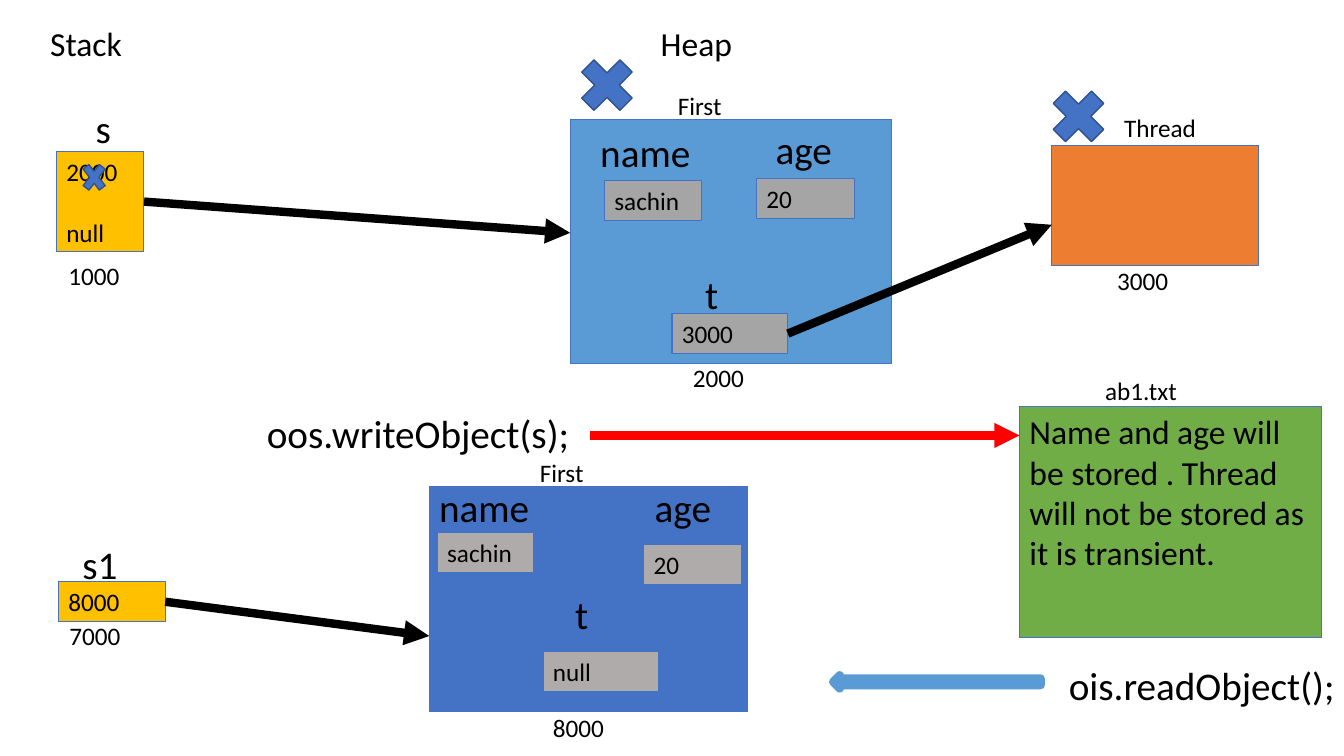
"""Draw the stack and heap during serialization of an object with a transient field."""
from typing import NamedTuple, Optional

from lxml.etree import SubElement
from pptx import Presentation
from pptx.dml.color import RGBColor
from pptx.enum.shapes import MSO_CONNECTOR, MSO_SHAPE
from pptx.enum.text import MSO_ANCHOR, PP_ALIGN
from pptx.oxml.ns import qn
from pptx.util import Emu, Pt

PX = 9144
BLUE, SKY, GOLD, ORANGE, GREEN = "4472C4", "5B9BD5", "FFC000", "ED7D31", "70AD47"
FIELD_GRAY, RESTORED_GRAY = "A5A5A5", "AFABAB"
BLACK, RED, CROSS_EDGE = "000000", "FF0000", "2F528F"
SMALL, MEDIUM, LARGE = 18, 24, 28


class Box(NamedTuple):
    x: int
    y: int
    width: int
    height: int
    fill: str
    text: str = ""
    size: int = SMALL


class Caption(NamedTuple):
    x: int
    y: int
    width: int
    text: str
    size: int = SMALL


class Cross(NamedTuple):
    x: int
    y: int
    width: int
    height: int


class Reference(NamedTuple):
    x1: int
    y1: int
    x2: int
    y2: int
    color: str = BLACK
    owner: Optional[str] = None


BOXES = {
    "first": Box(566, 119, 319, 242, SKY),
    "thread": Box(1044, 144, 205, 119, ORANGE),
    "name": Box(600, 179, 96, 40, FIELD_GRAY, "sachin"),
    "age": Box(751, 177, 97, 40, FIELD_GRAY, "20"),
    "t": Box(667, 311, 115, 40, FIELD_GRAY, "3000"),
    "s": Box(56, 150, 87, 100, GOLD, "2000\nnull"),
    "file": Box(1012, 403, 300, 230, GREEN,
                "Name and age will be stored . Thread will not be stored as it is transient.", MEDIUM),
    "restored first": Box(426, 483, 316, 223, BLUE),
    "restored name": Box(434, 528, 96, 40, RESTORED_GRAY, "sachin"),
    "restored age": Box(639, 540, 97, 40, RESTORED_GRAY, "20"),
    "restored t": Box(539, 646, 115, 40, RESTORED_GRAY, "null"),
    "s1": Box(58, 577, 106, 40, GOLD, "8000"),
}
CAPTIONS = [
    Caption(646, 18, 159, "Heap", MEDIUM),
    Caption(40, 18, 124, "Stack", MEDIUM),
    Caption(663, 85, 126, "First"),
    Caption(1106, 107, 118, "Thread"),
    Caption(586, 122, 130, "name", LARGE),
    Caption(760, 119, 108, "age", LARGE),
    Caption(690, 263, 47, "t", LARGE),
    Caption(1099, 258, 118, "3000"),
    Caption(678, 355, 118, "2000"),
    Caption(85, 99, 58, "s", LARGE),
    Caption(58, 253, 87, "1000"),
    Caption(1087, 367, 129, "ab1.txt"),
    Caption(255, 401, 423, "oos.writeObject(s);", LARGE),
    Caption(1051, 651, 298, "ois.readObject();", LARGE),
    Caption(426, 475, 133, "name", LARGE),
    Caption(640, 475, 103, "age", LARGE),
    Caption(561, 581, 46, "t", LARGE),
    Caption(539, 702, 118, "8000"),
    Caption(72, 531, 59, "s1", LARGE),
    Caption(59, 611, 106, "7000"),
    Caption(526, 449, 126, "First"),
]
CROSSES = [Cross(78, 156, 31, 40), Cross(566, 48, 73, 73), Cross(1034, 79, 73, 73)]
REFERENCES = [
    Reference(782, 331, 1044, 223, owner="t"),
    Reference(143, 200, 566, 231, owner="s"),
    Reference(586, 432, 1012, 432, RED),
    Reference(164, 597, 426, 631, owner="s1"),
]


def px(*lengths: int) -> list:
    """Turn whole pixels into EMU."""
    return [Emu(length * PX) for length in lengths]


def paint(color_format, color: str) -> None:
    """Set a hex colour on a fill, line or font colour."""
    color_format.rgb = RGBColor.from_string(color)


def write(frame, text: str, *, size: int = SMALL, color: str = BLACK, gap: int = 22) -> None:
    """Write left-aligned text, one paragraph a line, with a gap between paragraphs."""
    frame.word_wrap = True
    frame.vertical_anchor = MSO_ANCHOR.TOP
    for index, line in enumerate(text.split("\n")):
        paragraph = frame.add_paragraph() if index else frame.paragraphs[0]
        paragraph.alignment = PP_ALIGN.LEFT
        if index:
            paragraph.space_before = Pt(gap)
        run = paragraph.add_run()
        run.text = line
        run.font.name = "Calibri"
        run.font.size = Pt(size)
        paint(run.font.color, color)


def draw_shape(slide, preset, bounds: tuple, *, fill: str, edge: str, weight: float):
    """Draw a filled, outlined preset shape."""
    shape = slide.shapes.add_shape(preset, *px(*bounds))
    shape.shadow.inherit = False
    shape.fill.solid()
    paint(shape.fill.fore_color, fill)
    paint(shape.line.color, edge)
    shape.line.width = Pt(weight)
    return shape


def draw_box(slide, box: Box):
    """Draw a memory cell or object with its value."""
    shape = draw_shape(slide, MSO_SHAPE.RECTANGLE, box[:4], fill=box.fill, edge=BLUE, weight=0.75)
    if box.text:
        write(shape.text_frame, box.text, size=box.size)
    return shape


def draw_caption(slide, caption: Caption) -> None:
    """Draw a free-standing caption whose height follows its type size."""
    height = {SMALL: 40, MEDIUM: 50, LARGE: 57}[caption.size]
    label = slide.shapes.add_textbox(*px(caption.x, caption.y, caption.width, height))
    write(label.text_frame, caption.text, size=caption.size)


def draw_reference(slide, reference: Reference, cells: dict) -> None:
    """Draw a thick arrow, joined to the right side of the cell that owns it."""
    arrow = slide.shapes.add_connector(MSO_CONNECTOR.STRAIGHT, *px(*reference[:4]))
    if reference.owner:
        arrow.begin_connect(cells[reference.owner], 3)
    paint(arrow.line.color, reference.color)
    arrow.line.width = Pt(6)
    SubElement(arrow.line._get_or_add_ln(), qn("a:tailEnd"), type="triangle")
    SubElement(arrow._element.spPr, qn("a:effectLst"))


def main() -> None:
    """Build and save the slide."""
    deck = Presentation()
    deck.slide_width, deck.slide_height = px(1334, 750)
    slide = deck.slides.add_slide(deck.slide_layouts[6])
    cells = {name: draw_box(slide, box) for name, box in BOXES.items()}
    for caption in CAPTIONS:
        draw_caption(slide, caption)
    for reference in REFERENCES:
        draw_reference(slide, reference, cells)
    for cross in CROSSES:
        draw_shape(slide, MSO_SHAPE.MATH_MULTIPLY, cross, fill=BLUE, edge=CROSS_EDGE, weight=1)
    draw_shape(slide, MSO_SHAPE.LEFT_ARROW, (827, 670, 206, 13), fill=BLUE, edge=SKY, weight=6)
    deck.save("out.pptx")


if __name__ == "__main__":
    main()
